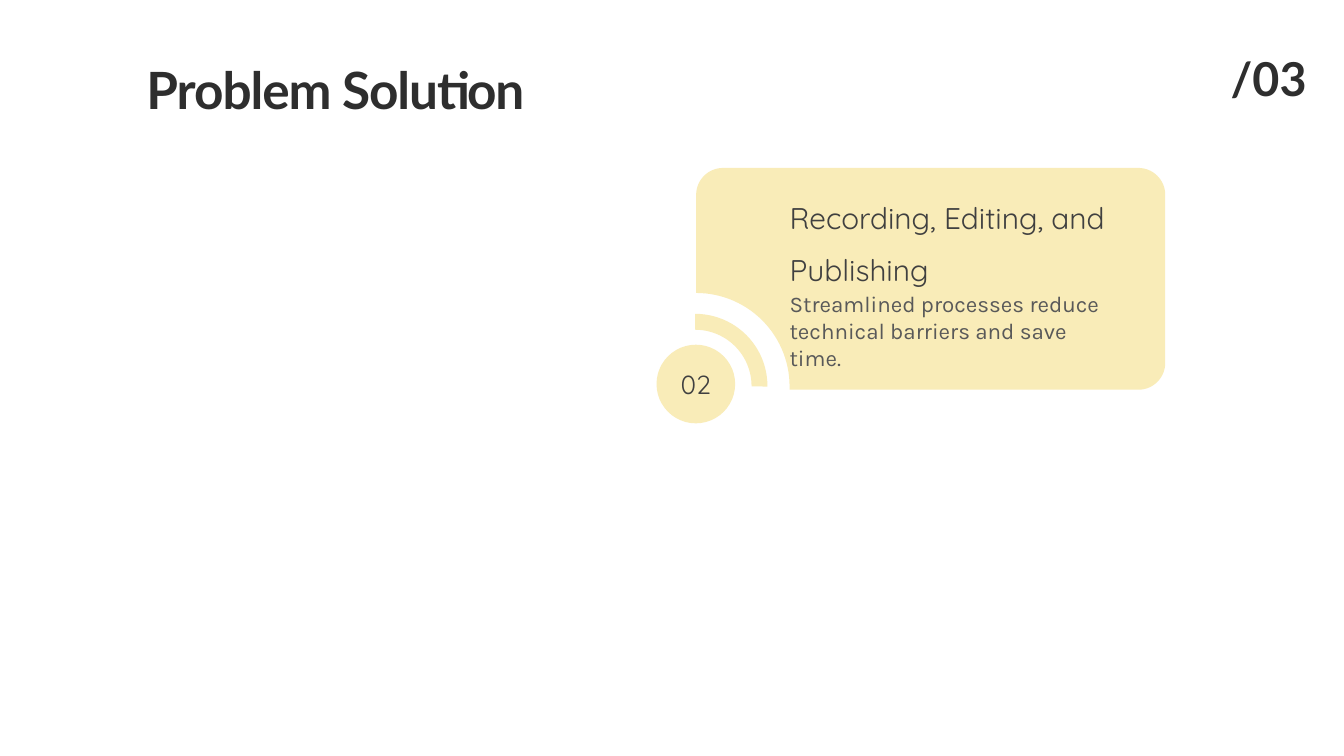
import math
from pptx import Presentation, util as u
from pptx.dml import color
from pptx.enum import shapes, text

COLORS = {"ink": "2E2E2E", "heading": "404040", "body": "595959", "card": "F9ECB8"}
COLUMNS = 100


class Deck:
    """Draws styled elements on a grid of square cells, 100 columns to the slide width."""

    def __init__(self, width, height):
        self.prs = Presentation()
        self.prs.slide_width, self.prs.slide_height = u.Inches(width), u.Inches(height)
        self.cell = self.prs.slide_width / COLUMNS
        self.s = self.prs.slides.add_slide(self.prs.slide_layouts[6])

    def grid(self, *cells):
        return [u.Emu(round(c * self.cell)) for c in cells]

    def paint(self, sp):
        sp.shadow.inherit = False
        sp.fill.solid()
        sp.fill.fore_color.rgb = color.RGBColor.from_string(COLORS["card"])
        sp.line.fill.background()
        return sp

    def add_words(self, tf, words, font, size, ink, bold=False, align=None, leading=None, tracking=None):
        p = tf.paragraphs[0]
        p.alignment = align
        if leading:
            p.line_spacing = u.Pt(leading)
        r = p.add_run()
        r.text = words
        r.font.name, r.font.size, r.font.bold = font, u.Pt(size), bold
        r.font.color.rgb = color.RGBColor.from_string(COLORS[ink])
        if tracking:
            r._r.get_or_add_rPr().set("spc", str(round(tracking * 100)))

    def label(self, box, *args, **style):
        tf = self.s.shapes.add_textbox(*self.grid(*box)).text_frame
        tf.margin_left = tf.margin_top = tf.margin_right = tf.margin_bottom = 0
        tf.word_wrap = True
        tf.auto_size = text.MSO_AUTO_SIZE.SHAPE_TO_FIT_TEXT
        self.add_words(tf, *args, **style)

    def preset(self, kind, box):
        return self.paint(self.s.shapes.add_shape(kind, *self.grid(*box)))

    def quarter_ring(self, box, thickness):
        sp = self.preset(shapes.MSO_SHAPE.BLOCK_ARC, box)
        sp.rotation = 90
        for i, value in enumerate((108, 162.22, thickness)):
            sp.adjustments[i] = value

    def badge(self, box, *args):
        tf = self.preset(shapes.MSO_SHAPE.OVAL, box).text_frame
        tf.vertical_anchor = text.MSO_ANCHOR.MIDDLE
        self.add_words(tf, *args, align=text.PP_ALIGN.CENTER)

    def arc(self, x, y, radius, start, steps=30):
        angles = [math.radians(start + 90 * i / steps) for i in range(steps + 1)]
        return [self.grid(x + radius * math.cos(a), y + radius * math.sin(a)) for a in angles]

    def notched_card(self, left, top, right, bottom, corner, notch, notch_y):
        points = [
            *self.arc(left + corner, top + corner, corner, 180),
            *self.arc(right - corner, top + corner, corner, 270),
            *self.arc(right - corner, bottom - corner, corner, 0),
            self.grid(left + notch, bottom),
            *reversed(self.arc(left, notch_y, notch, 270)),
        ]
        fb = self.s.shapes.build_freeform(*points[0])
        fb.add_line_segments(points[1:], close=True)
        self.paint(fb.convert_to_shape())


def main():
    deck = Deck(20, 11.25)
    deck.label((10.9, 3.6, 29.15, 4.85), "Problem Solution", "Lato", 55, "ink",
               bold=True, leading=77, tracking=-1.1)
    deck.label((89.9, 3, 9, 4.45), "/03", "Lato", 50, "ink",
               bold=True, leading=70, align=text.PP_ALIGN.CENTER)
    deck.quarter_ring((46.35, 23.35, 10.75, 10.75), 0.11)
    deck.badge((48.85, 25.65, 5.85, 5.85), "02", "Quicksand", 28, "heading")
    deck.notched_card(51.8, 12.5, 86.7, 29, corner=2, notch=6.95, notch_y=28.75)
    deck.label((58.75, 13.6, 31.9, 7.35), "Recording, Editing, and Publishing",
               "Quicksand", 32, "heading", leading=56)
    deck.label((58.75, 21.6, 23.2, 4.05),
               "Streamlined processes reduce technical barriers and save time.",
               "Karla", 24, "body")
    deck.prs.save("out.pptx")


if __name__ == "__main__":
    main()
